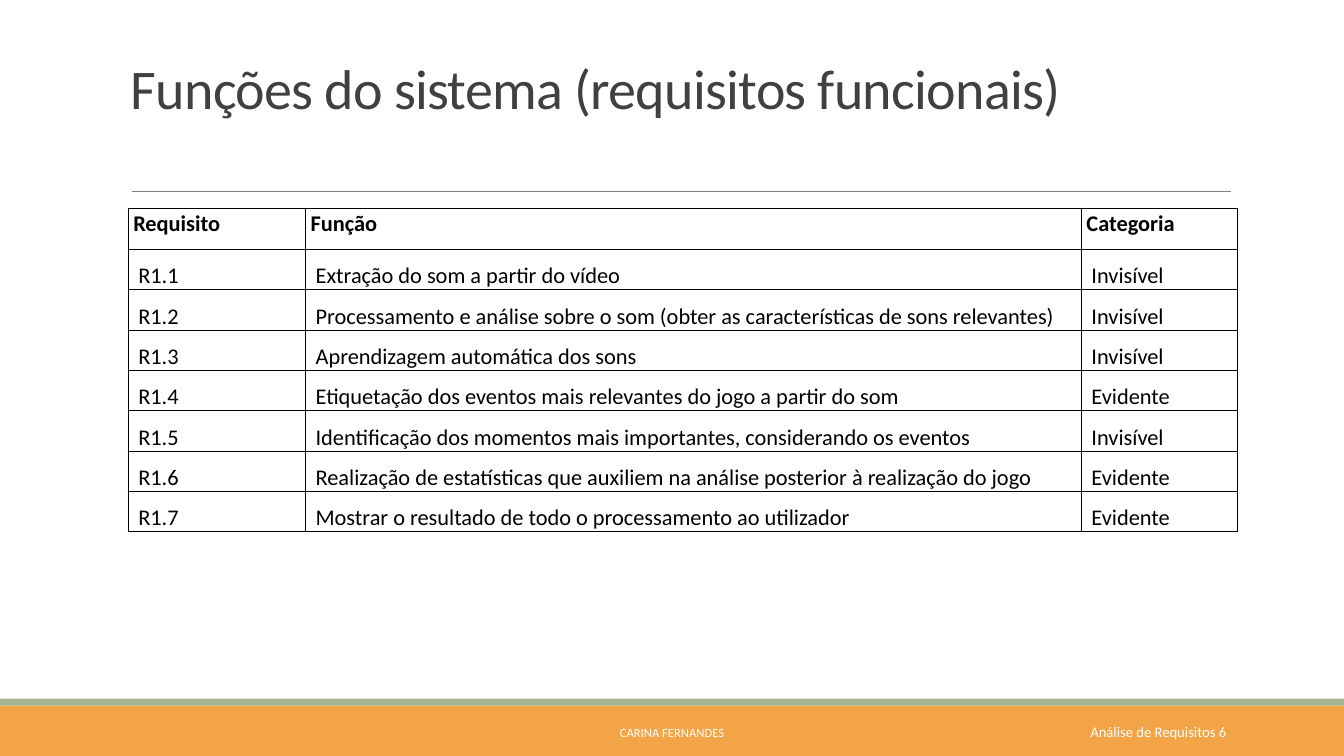
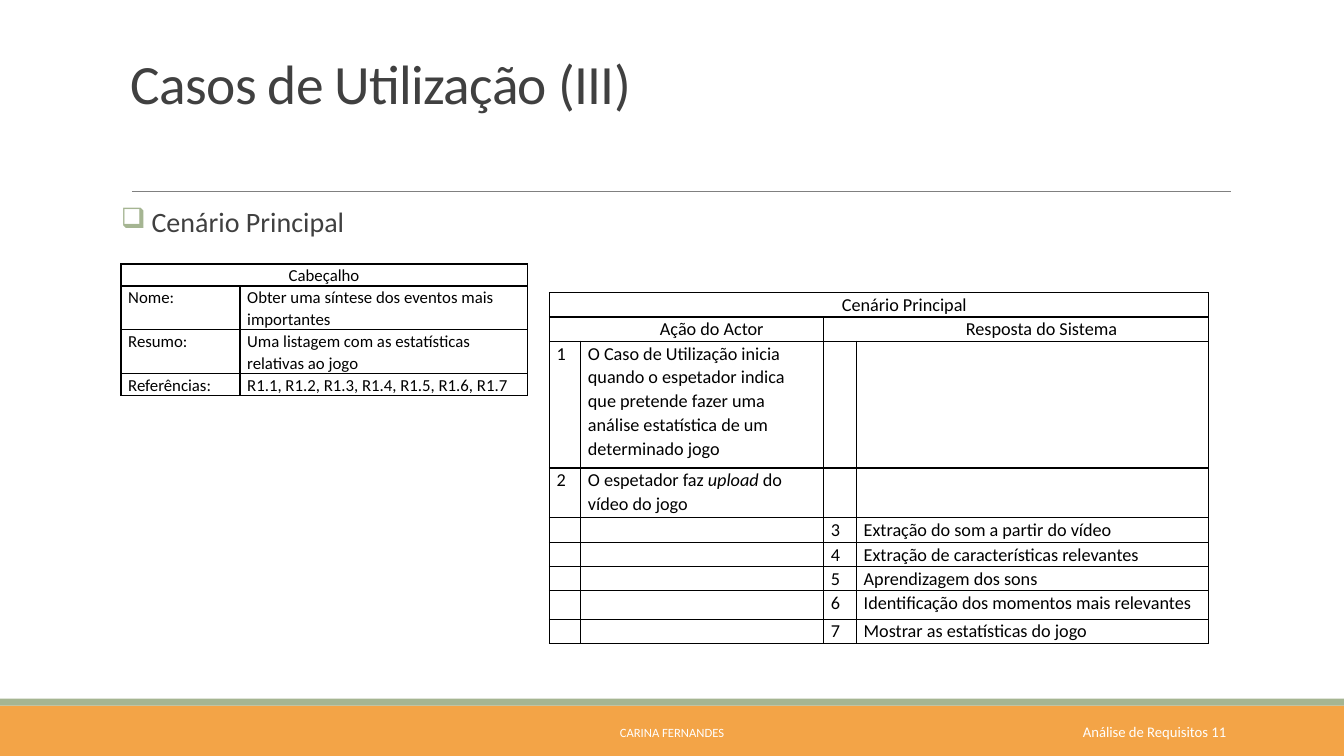
from lxml import etree
from pptx import Presentation
from pptx.dml.color import RGBColor
from pptx.enum import shapes, text
from pptx.oxml.ns import qn
from pptx.util import Pt

COLORS = {"orange": "F3A447", "green": "A5B592", "rule": "808080",
          "title": "404040", "ink": "000000", "white": "FFFFFF"}
FONT = "Calibri"
WIDTH, HEIGHT = 960, 540
ALIGN, ANCHOR = text.PP_ALIGN, text.MSO_ANCHOR

AUTHOR = "CARINA FERNANDES"
FOOTER = "Análise de Requisitos"

REQUIREMENTS = [
    ("Requisito", "Função", "Categoria"),
    ("R1.1", "Extração do som a partir do vídeo", "Invisível"),
    ("R1.2", "Processamento e análise sobre o som (obter as características de sons relevantes)",
     "Invisível"),
    ("R1.3", "Aprendizagem automática dos sons", "Invisível"),
    ("R1.4", "Etiquetação dos eventos mais relevantes do jogo a partir do som", "Evidente"),
    ("R1.5", "Identificação dos momentos mais importantes, considerando os eventos", "Invisível"),
    ("R1.6", "Realização de estatísticas que auxiliem na análise posterior à realização do jogo",
     "Evidente"),
    ("R1.7", "Mostrar o resultado de todo o processamento ao utilizador", "Evidente"),
]
USE_CASE = [
    ("Cabeçalho", ""),
    ("Nome:", "Obter uma síntese dos eventos mais importantes"),
    ("Resumo:", "Uma listagem com as estatísticas relativas ao jogo"),
    ("Referências:", "R1.1, R1.2, R1.3, R1.4, R1.5, R1.6, R1.7"),
]
# A cell is a string, or a list of (words, italic) runs.
UPLOAD_STEP = [("O espetador faz ", False), ("upload", True), (" do vídeo do jogo", False)]
ACTOR_STEPS = [
    "O Caso de Utilização inicia quando o espetador indica que pretende fazer "
    "uma análise estatística de um determinado jogo",
    UPLOAD_STEP,
]
SYSTEM_STEPS = [
    "Extração do som a partir do vídeo",
    "Extração de características relevantes",
    "Aprendizagem dos sons",
    "Identificação dos momentos mais relevantes",
    "Mostrar as estatísticas do jogo",
]
SCENARIO = (
    [("Cenário Principal", "", "", ""), ("Ação do Actor", "", "Resposta do Sistema", "")]
    + [(str(n), step, "", "") for n, step in enumerate(ACTOR_STEPS, 1)]
    + [("", "", str(n), step) for n, step in enumerate(SYSTEM_STEPS, len(ACTOR_STEPS) + 1)]
)


def rgb(name):
    return RGBColor.from_string(COLORS[name])


def add_span(para, words, size, color, bold=False, italic=False):
    span = para.add_run()
    span.text = words
    font = span.font
    font.name, font.size, font.bold, font.italic = FONT, Pt(size), bold, italic
    font.color.rgb = rgb(color)
    return span


def add_text(page, words, place, size, color, align=ALIGN.LEFT, anchor=ANCHOR.TOP, spacing=1.0):
    """Add a one-paragraph text box; return its paragraph and its run."""
    frame = page.shapes.add_textbox(*map(Pt, place)).text_frame
    frame.word_wrap = True
    frame.vertical_anchor = anchor
    para = frame.paragraphs[0]
    para.alignment, para.line_spacing = align, spacing
    return para, add_span(para, words, size, color)


def add_page(deck, title, title_top, title_size, number):
    """Add a page with the shared bands, rule, title and footers."""
    page = deck.slides.add_slide(deck.slide_layouts[6])
    for color, top, height in (("orange", 504, 36), ("green", 499, 5)):
        band = page.shapes.add_shape(shapes.MSO_SHAPE.RECTANGLE, 0, Pt(top), Pt(WIDTH), Pt(height))
        band.shadow.inherit = False
        band.fill.solid()
        band.fill.fore_color.rgb = rgb(color)
        band.line.fill.background()
    rule = page.shapes.add_connector(shapes.MSO_CONNECTOR.STRAIGHT,
                                     Pt(94.3), Pt(136.8), Pt(879), Pt(136.8))
    rule.line.color.rgb = rgb("rule")
    rule.line.width = Pt(0.5)
    etree.SubElement(rule._element.spPr, qn("a:effectLst"))
    _, span = add_text(page, title, (86.4, title_top, 792, 60), title_size, "title", spacing=0.85)
    span._r.get_or_add_rPr().set("spc", "-50")
    add_text(page, AUTHOR, (290, 508.5, 380, 28.8), 9, "white", ALIGN.CENTER, ANCHOR.MIDDLE)
    add_text(page, f"{FOOTER} {number}", (690, 508.5, 193, 28.8), 10.5, "white",
             ALIGN.RIGHT, ANCHOR.MIDDLE)
    return page


def add_bullet(page, words, place, indent):
    para, _ = add_text(page, words, place, 20, "title", spacing=0.9)
    props = para._p.get_or_add_pPr()
    props.set("marL", str(Pt(indent)))
    props.set("indent", str(-Pt(indent)))
    color = etree.SubElement(props, qn("a:buClr"))
    etree.SubElement(color, qn("a:srgbClr"), val=COLORS["green"])
    etree.SubElement(props, qn("a:buChar"), char="❑")


def add_borders(cell):
    props = cell._tc.get_or_add_tcPr()
    for index, side in enumerate(("lnL", "lnR", "lnT", "lnB")):
        line = etree.Element(qn(f"a:{side}"), w=str(Pt(1)))
        fill = etree.SubElement(line, qn("a:solidFill"))
        etree.SubElement(fill, qn("a:srgbClr"), val=COLORS["ink"])
        props.insert(index, line)


def fill_cell(cell, content, size, margin, bold=False):
    cell.fill.background()
    add_borders(cell)
    cell.margin_left = cell.margin_right = Pt(margin)
    cell.margin_top = cell.margin_bottom = 0
    para = cell.text_frame.paragraphs[0]
    para.line_spacing = 1.07
    runs = [(content, False)] if isinstance(content, str) else content
    for words, italic in runs:
        if words:
            add_span(para, words, size, "ink", bold, italic)
    if not content:
        etree.SubElement(para._p, qn("a:endParaRPr"), sz=str(size * 100))


def add_grid(page, rows, left, top, widths, heights, size, margin):
    frame = page.shapes.add_table(len(rows), len(widths), Pt(left), Pt(top),
                                  Pt(sum(widths)), Pt(sum(heights)))
    table = frame.table
    table.first_row = table.horz_banding = False
    for column, width in zip(table.columns, widths):
        column.width = Pt(width)
    for r, (row, height) in enumerate(zip(rows, heights)):
        table.rows[r].height = Pt(height)
        for c, content in enumerate(row):
            fill_cell(table.cell(r, c), content, size, margin)
    return table


def merge_heading(table, row, first, last, indent=0):
    cell = table.cell(row, first)
    cell.merge(table.cell(row, last))
    para = cell.text_frame.paragraphs[0]
    para.alignment = ALIGN.CENTER
    para._p.get_or_add_pPr().set("marL", str(Pt(indent)))


def build_requirements(deck):
    page = add_page(deck, "Funções do sistema (requisitos funcionais)", 42, 40, 6)
    table = add_grid(page, REQUIREMENTS, 91.6, 149, (126.7, 554.2, 111.6),
                     [29.3] + [28.8] * (len(REQUIREMENTS) - 1), 16, 7.2)
    for r in range(len(REQUIREMENTS)):
        for c in range(len(REQUIREMENTS[0])):
            cell = table.cell(r, c)
            if r == 0:
                cell.margin_left = Pt(3.6)
                cell.text_frame.paragraphs[0].runs[0].font.bold = True
            else:
                cell.margin_right = Pt(3.6)
                cell.vertical_anchor = ANCHOR.BOTTOM


def build_use_case(deck):
    page = add_page(deck, "Casos de Utilização (III)", 38.5, 39.6, 11)
    add_bullet(page, "Cenário Principal", (79.2, 145.4, 792, 36), 22)
    header = add_grid(page, USE_CASE, 86.4, 188.6, (85, 205.2),
                      (15.7, 31.4, 31.4, 15.7), 12, 5.2)
    merge_heading(header, 0, 0, 1)
    line = 17.4
    scenario = add_grid(page, SCENARIO, 392.4, 209, (22.4, 173.6, 23.4, 251.6),
                        (line, line, 90.5, 35.7, line, line, line, 20.2, line), 13, 5.2)
    for row, first, last in ((0, 0, 3), (1, 0, 1), (1, 2, 3)):
        merge_heading(scenario, row, first, last, indent=36)


def main():
    deck = Presentation()
    deck.slide_width, deck.slide_height = Pt(WIDTH), Pt(HEIGHT)
    build_requirements(deck)
    build_use_case(deck)
    deck.save("out.pptx")


if __name__ == "__main__":
    main()
